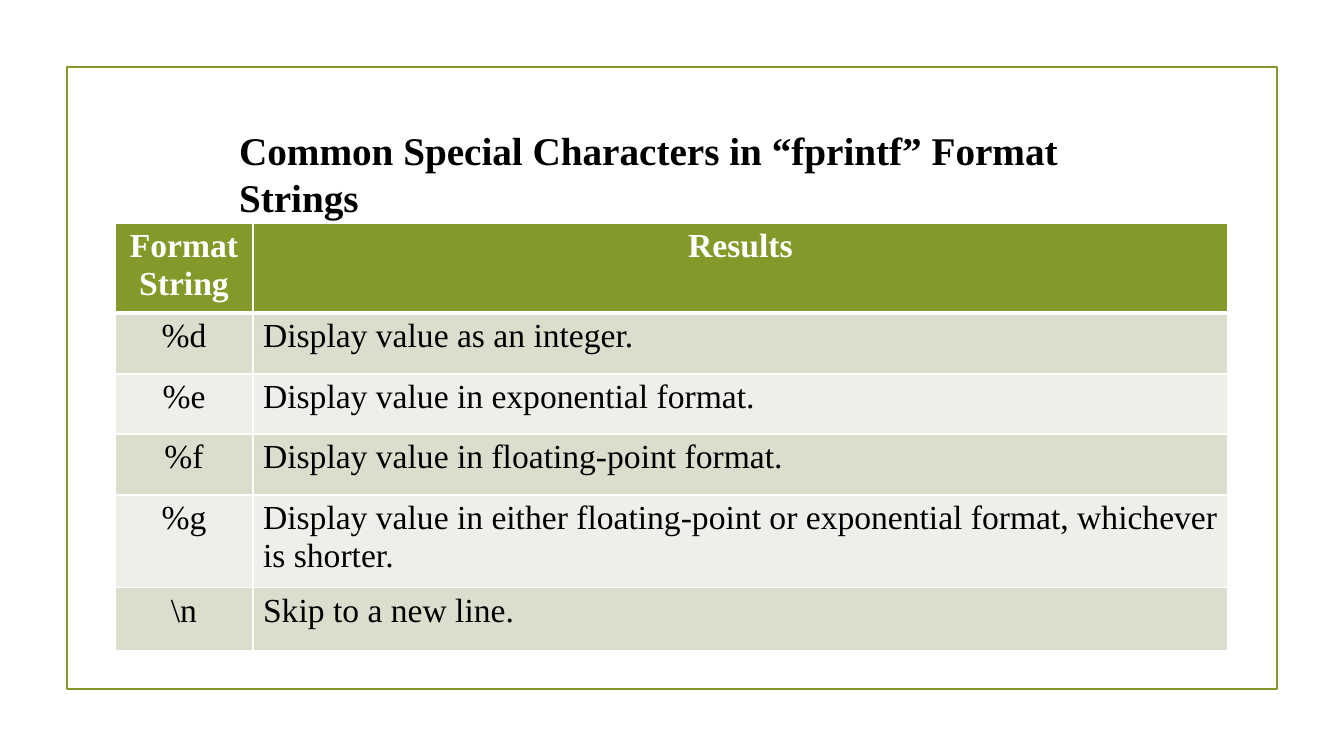
from dataclasses import dataclass

from lxml import etree
from pptx import Presentation
from pptx.dml.color import RGBColor
from pptx.enum.shapes import MSO_SHAPE
from pptx.enum.text import MSO_ANCHOR, PP_ALIGN
from pptx.oxml.ns import qn
from pptx.util import Emu, Pt

RECT = MSO_SHAPE.RECTANGLE
TOP = MSO_ANCHOR.TOP
LEFT, CENTER = PP_ALIGN.LEFT, PP_ALIGN.CENTER
TITLE_ONLY = 5


@dataclass(frozen=True)
class Theme:
    font: str = "Times New Roman"
    title_size: int = 28
    table_size: int = 24
    text: str = "000000"
    white: str = "FFFFFF"
    accent: str = "83992A"
    bands: tuple[str, str] = ("D9DECD", "EDEFE8")
    frame_line: float = 1.25
    cell_line: int = 1
    header_line: int = 3


@dataclass(frozen=True)
class Row:
    code: str
    result: str
    height: int


THEME = Theme()
COLUMNS = (138, 975)
ROWS = (
    Row("Format String", "Results", 90),
    Row("%d", "Display value as an integer.", 61),
    Row("%e", "Display value in exponential format.", 60),
    Row("%f", "Display value in floating-point format.", 61),
    Row("%g", "Display value in either floating-point or exponential format, "
        "whichever is shorter.", 93),
    Row(r"\n", "Skip to a new line.", 63),
)


def px(n: int) -> Emu:
    return Emu(round(n * 12192000 / 1344))


def write(tf, text: str, *, size: int, color: str = THEME.text,
          bold: bool = False, align=LEFT) -> None:
    p = tf.paragraphs[0]
    p.alignment = align
    r = p.add_run()
    r.text = text
    r.font.name = THEME.font
    r.font.size = Pt(size)
    r.font.bold = bold
    r.font.color.rgb = RGBColor.from_string(color)


def set_borders(cell, bottom: int) -> None:
    tc_pr = cell._tc.get_or_add_tcPr()
    sides = {"lnL": THEME.cell_line, "lnR": THEME.cell_line,
             "lnT": THEME.cell_line, "lnB": bottom}
    # Border lines come before the fill in the cell properties
    for i, (side, width) in enumerate(sides.items()):
        ln = etree.Element(qn(f"a:{side}"), w=str(Pt(width)))
        fill = etree.SubElement(ln, qn("a:solidFill"))
        etree.SubElement(fill, qn("a:srgbClr"), val=THEME.white)
        tc_pr.insert(i, ln)


def add_frame(s) -> None:
    sp = s.shapes.add_shape(RECT, px(67), px(67), px(1210), px(622))
    sp.shadow.inherit = False
    sp.fill.background()
    sp.line.color.rgb = RGBColor.from_string(THEME.accent)
    sp.line.width = Pt(THEME.frame_line)


def add_title(s, text: str) -> None:
    sp = s.shapes.title
    sp.left, sp.top, sp.width, sp.height = px(229), px(121), px(954), px(57)
    tf = sp.text_frame
    tf.word_wrap = True
    tf.vertical_anchor = TOP
    write(tf, text, size=THEME.title_size, bold=True)


def add_format_table(s) -> None:
    table = s.shapes.add_table(
        len(ROWS), len(COLUMNS), px(115), px(223), px(sum(COLUMNS)),
        px(sum(row.height for row in ROWS))).table
    for column, width in zip(table.columns, COLUMNS):
        column.width = px(width)
    for i, row in enumerate(ROWS):
        header = i == 0
        table.rows[i].height = px(row.height)
        fill = THEME.accent if header else THEME.bands[(i - 1) % 2]
        for j, text in enumerate((row.code, row.result)):
            cell = table.cell(i, j)
            cell.fill.solid()
            cell.fill.fore_color.rgb = RGBColor.from_string(fill)
            # The rule under the header is shared with the first row
            set_borders(cell, THEME.header_line if header else THEME.cell_line)
            write(cell.text_frame, text, size=THEME.table_size, bold=header,
                  color=THEME.white if header else THEME.text,
                  align=CENTER if header or j == 0 else LEFT)


def main() -> None:
    prs = Presentation()
    prs.slide_width, prs.slide_height = px(1344), px(756)
    s = prs.slides.add_slide(prs.slide_layouts[TITLE_ONLY])
    add_frame(s)
    add_format_table(s)
    add_title(s, "Common Special Characters in “fprintf” Format Strings")
    prs.save("out.pptx")


if __name__ == "__main__":
    main()
